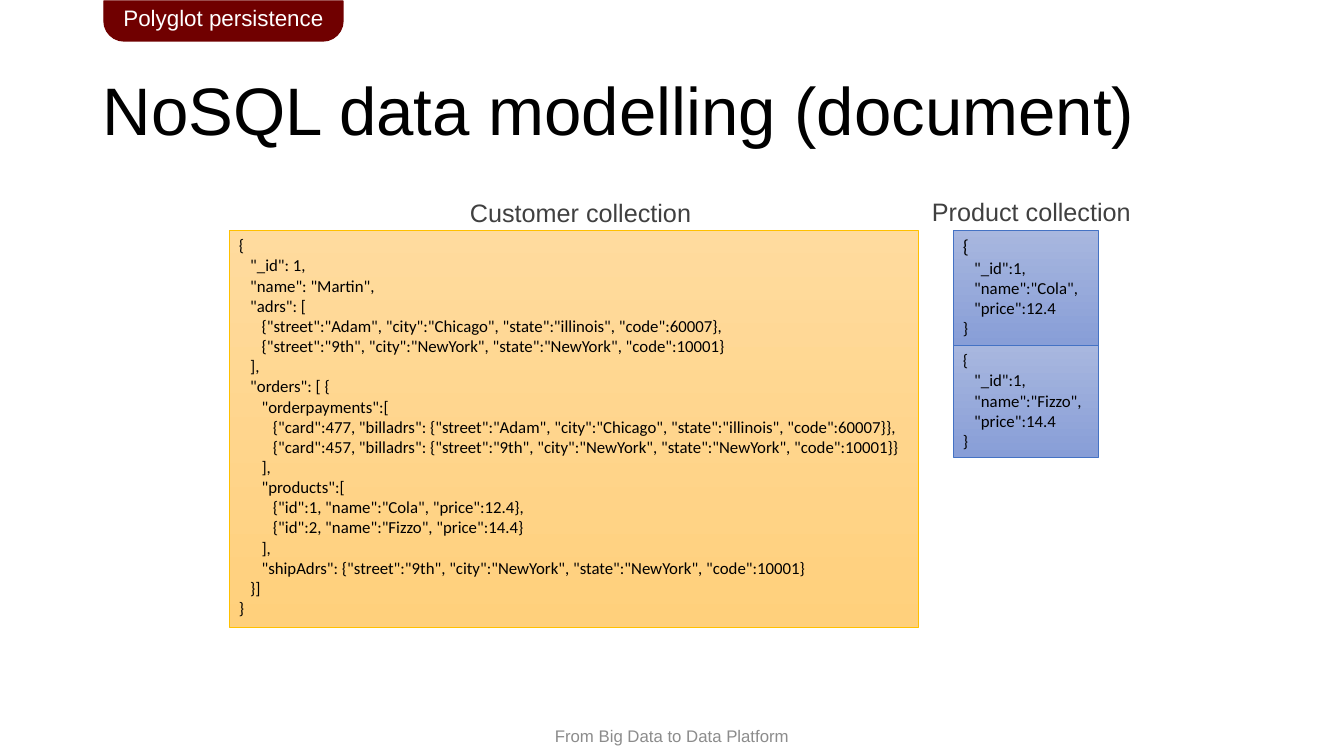
from pptx import Presentation, util as u
from pptx.dml import color
from pptx.enum import shapes, text

PX = 914400 / 100.8
CUSTOMER = '''{
   "_id": 1,
   "name": "Martin",
   "adrs": [
      {"street":"Adam", "city":"Chicago", "state":"illinois", "code":60007},
      {"street":"9th", "city":"NewYork", "state":"NewYork", "code":10001}
   ],
   "orders": [ {
      "orderpayments":[
         {"card":477, "billadrs": {"street":"Adam", "city":"Chicago", "state":"illinois", "code":60007}},
         {"card":457, "billadrs": {"street":"9th", "city":"NewYork", "state":"NewYork", "code":10001}}
      ],
      "products":[
         {"id":1, "name":"Cola", "price":12.4},
         {"id":2, "name":"Fizzo", "price":14.4}
      ],
      "shipAdrs": {"street":"9th", "city":"NewYork", "state":"NewYork", "code":10001}
   }]
}'''
PRODUCT = '''{
   "_id":1,
   "name":"%s",
   "price":%s
}'''


def px(*lengths):
    """Turn pixel lengths into EMU."""
    return [u.Emu(round(length * PX)) for length in lengths]


def rgb(value):
    """Turn a hex string into a colour."""
    return color.RGBColor.from_string(value)


def write(box, content, size, hue, font="Arial", align="LEFT", anchor="TOP", first=None):
    """Write each line as a paragraph, with an optional first line size."""
    frame = box.text_frame
    frame.word_wrap = True
    frame.vertical_anchor = getattr(text.MSO_ANCHOR, anchor)
    for index, line in enumerate(content.split("\n")):
        para = frame.add_paragraph() if index else frame.paragraphs[0]
        para.alignment = getattr(text.PP_ALIGN, align)
        span = para.add_run()
        span.text = line
        span.font.name = font
        span.font.size = u.Pt(size if index or not first else first)
        span.font.color.rgb = rgb(hue)
    return frame


def label(page, area, content, size, hue, **style):
    """Place plain text in an area."""
    return write(page.shapes.add_textbox(*px(*area)), content, size, hue, **style)


def tab(page, area, content):
    """Place the section tab hanging from the top edge."""
    box = page.shapes.add_shape(shapes.MSO_SHAPE.ROUND_2_SAME_RECTANGLE, *px(*area))
    box.adjustments[0], box.adjustments[1] = 0, 0.5
    box.shadow.inherit = False
    box.fill.solid()
    box.fill.fore_color.rgb = rgb("700000")
    box.line.color.rgb = rgb("700000")
    box.line.width = u.Pt(1)
    write(box, content, 16, "FFFFFF", align="CENTER", anchor="MIDDLE")


def document(page, area, content, shades, edge, first=None):
    """Place a document's code on a vertical gradient."""
    box = page.shapes.add_shape(shapes.MSO_SHAPE.RECTANGLE, *px(*area))
    box.shadow.inherit = False
    box.fill.gradient()
    box.fill.gradient_angle = 270
    for stop, shade in zip(box.fill.gradient_stops, shades):
        stop.color.rgb = rgb(shade)
    box.line.color.rgb = rgb(edge)
    box.line.width = u.Pt(0.5)
    write(box, content, 12, "000000", font="Calibri", first=first).margin_right = 0


def customers(page, left, top):
    """Place the customer collection and its heading."""
    label(page, (left + 231, top - 38, 244, 40), "Customer collection", 18, "404040")
    document(page, (left, top, 689, 397), CUSTOMER, ("FFDB9E", "FFD07C"), "FFC000")


def products(page, left, top):
    """Place the product collection and its heading."""
    label(page, (left - 31, top - 39, 221, 40), "Product collection", 18, "404040")
    items = (("Cola", 12.4, 115, 13.5), ("Fizzo", 14.4, 112, None))
    for name, price, height, first in items:
        document(page, (left, top, 145, height), PRODUCT % (name, price),
                 ("A8B7DF", "889ED7"), "4472C4", first)
        top += height


def main():
    """Build and save the slide."""
    deck = Presentation()
    deck.slide_width, deck.slide_height = px(1344, 756)
    page = deck.slides.add_slide(deck.slide_layouts[6])
    label(page, (483, 716, 378, 40), "From Big Data to Data Platform", 12, "8C8C8C",
          align="CENTER", anchor="MIDDLE")
    title = label(page, (93, 41, 1159, 146), "NoSQL data modelling (document)", 48, "000000",
                  anchor="MIDDLE")
    title.paragraphs[0].line_spacing = 0.9
    customers(page, 229, 230)
    products(page, 953, 230)
    tab(page, (104, 1, 239, 40), "Polyglot persistence")
    deck.save("out.pptx")


if __name__ == "__main__":
    main()
